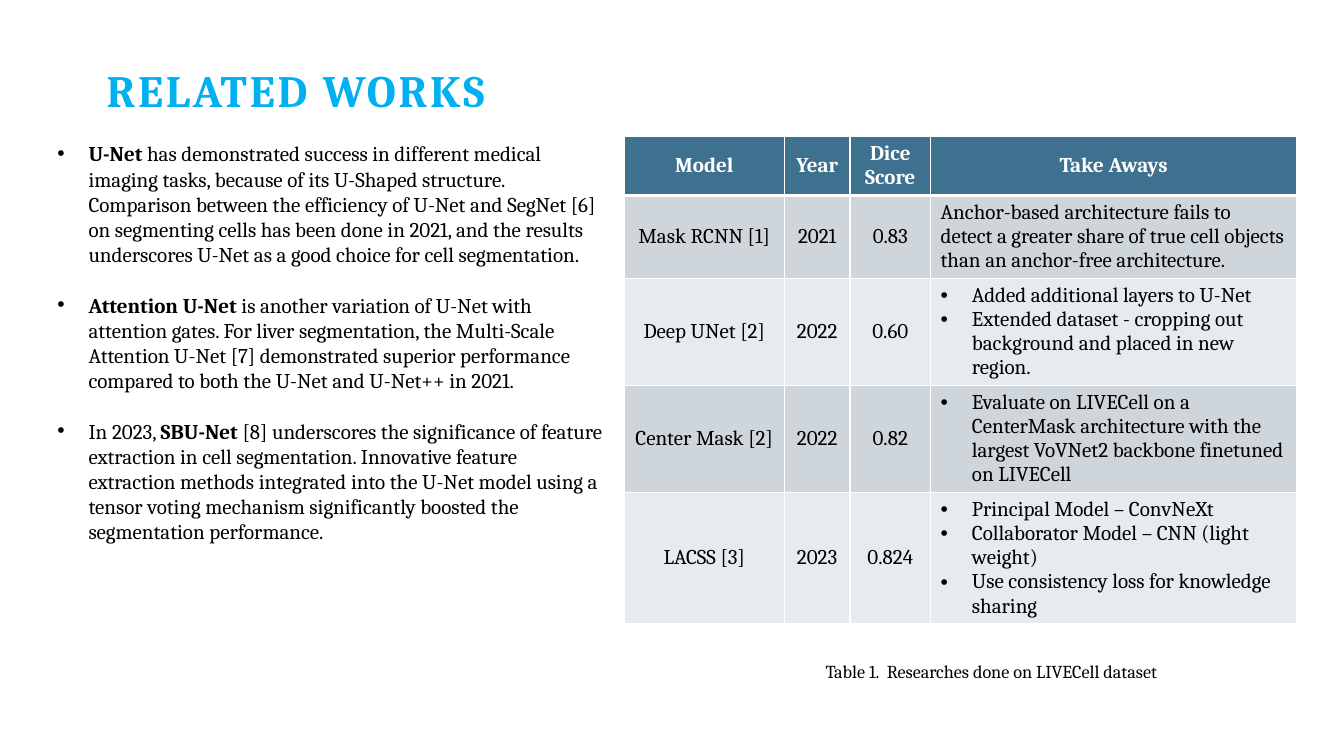
"""Build the related works slide: three bulleted summaries beside a table of models."""
from pptx import Presentation
from pptx.dml.color import RGBColor
from pptx.enum import text
from pptx.oxml import parse_xml
from pptx.oxml.ns import nsdecls
from pptx.util import Inches, Pt

TITLE = "RELATED WORKS"
CAPTION = "Table 1.  Researches done on LIVECell dataset"
SUMMARIES = [
    [("U-Net ", True),
     ("has demonstrated success in different medical imaging tasks, because of its U-Shaped "
      "structure. Comparison between the efficiency of U-Net and SegNet [6] on segmenting cells "
      "has been done in 2021, and the results underscores U-Net as a good choice for cell "
      "segmentation.", False)],
    [("Attention U-Net ", True),
     ("is another variation of U-Net with attention gates. For liver segmentation, the "
      "Multi-Scale Attention U-Net [7] demonstrated superior performance compared to both the "
      "U-Net and U-Net++ in 2021.", False)],
    [("In 2023, ", False), ("SBU-Net", True),
     (" [8] underscores the significance of feature extraction in cell segmentation. Innovative "
      "feature extraction methods integrated into the U-Net model using a tensor voting "
      "mechanism significantly boosted the segmentation performance.", False)],
]
HEADER = ["Model", "Year", "Dice Score", "Take Aways"]
MODELS = [
    ("Mask RCNN [1]", "2021", "0.83",
     ["Anchor-based architecture fails to detect a greater share of true cell objects than an "
      "anchor-free architecture."]),
    ("Deep UNet [2]", "2022", "0.60",
     ["Added additional layers to U-Net",
      "Extended dataset - cropping out background and placed in new region."]),
    ("Center Mask [2]", "2022", "0.82",
     ["Evaluate on LIVECell on a CenterMask architecture with the largest VoVNet2 backbone "
      "finetuned on LIVECell"]),
    ("LACSS [3]", "2023", "0.824",
     ["Principal Model – ConvNeXt", "Collaborator Model – CNN (light weight)",
      "Use consistency loss for knowledge sharing"]),
]
COLUMN_WIDTHS = [1.59, 0.65, 0.8, 3.63]
ROW_HEIGHTS = [0.59, 0.82, 1.06, 1.06, 1.3]
HEADER_FILL, BAND_FILLS = "3E7090", ["CED5DB", "E8EBEE"]
WHITE, BLACK, SKY = "FFFFFF", "000000", "00B0F0"
CENTER = text.PP_ALIGN.CENTER


def color(value):
    return RGBColor.from_string(value)


def style(paragraph, size, ink=BLACK, bold=None, align=None):
    font = paragraph.font
    font.name, font.size, font.bold = "Cambria", Pt(size), bold
    font.color.rgb = color(ink)
    paragraph.alignment = align


def add_bullet(paragraph):
    properties = paragraph._p.get_or_add_pPr()
    properties.set("marL", str(Inches(0.31)))
    properties.set("indent", str(-Inches(0.31)))
    for xml in ('<a:buFont %s typeface="Arial"/>', '<a:buChar %s char="•"/>'):
        bullet = parse_xml(xml % nsdecls("a"))
        properties.insert_element_before(bullet, "a:tabLst", "a:defRPr", "a:extLst")


def add_borders(cell, bottom):
    properties = cell._tc.get_or_add_tcPr()
    for place, (side, width) in enumerate([("L", 1), ("R", 1), ("T", 1), ("B", bottom)]):
        properties.insert(place, parse_xml(
            f'<a:ln{side} {nsdecls("a")} w="{Pt(width)}"><a:solidFill>'
            f'<a:srgbClr val="{WHITE}"/></a:solidFill></a:ln{side}>'))


def fill_cell(cell, lines, fill, ink=BLACK, bold=False, align=None, bulleted=False, bottom=1):
    cell.fill.solid()
    cell.fill.fore_color.rgb = color(fill)
    cell.vertical_anchor = text.MSO_ANCHOR.MIDDLE
    add_borders(cell, bottom)
    cell.text = "\n".join(lines)
    for paragraph in cell.text_frame.paragraphs:
        style(paragraph, 15, ink, bold, align)
        if bulleted:
            add_bullet(paragraph)


def add_title(slide):
    title = slide.shapes.title
    title.left, title.top, title.width, title.height = map(Inches, (0.71, 0.63, 4.45, 0.67))
    title.text = TITLE
    title.text_frame.vertical_anchor = text.MSO_ANCHOR.TOP
    heading = title.text_frame.paragraphs[0]
    style(heading, 32, SKY, True, CENTER)
    heading.line_spacing = 0.9
    heading.runs[0]._r.get_or_add_rPr().set("spc", "200")


def add_frame(slide, *box):
    frame = slide.shapes.add_textbox(*map(Inches, box)).text_frame
    frame.word_wrap = True
    return frame


def add_summaries(slide):
    frame = add_frame(slide, 0.47, 1.35, 5.63, 4.14)
    for index, summary in enumerate(SUMMARIES):
        paragraph = frame.add_paragraph() if index else frame.paragraphs[0]
        style(paragraph, 15)
        add_bullet(paragraph)
        paragraph.space_before = Pt(18 if index else 0)
        for words, bold in summary:
            run = paragraph.add_run()
            run.text, run.font.bold = words, bold


def add_models(slide):
    table = slide.shapes.add_table(
        len(ROW_HEIGHTS), len(COLUMN_WIDTHS), Inches(6.19), Inches(1.35),
        Inches(sum(COLUMN_WIDTHS)), Inches(sum(ROW_HEIGHTS))).table
    for column, width in zip(table.columns, COLUMN_WIDTHS):
        column.width = Inches(width)
    for row, height in zip(table.rows, ROW_HEIGHTS):
        row.height = Inches(height)
    for column, label in enumerate(HEADER):
        fill_cell(table.cell(0, column), [label], HEADER_FILL, WHITE, True, CENTER, bottom=3)
    for row, (*facts, takeaways) in enumerate(MODELS, 1):
        fill = BAND_FILLS[(row - 1) % 2]
        for column, fact in enumerate(facts):
            fill_cell(table.cell(row, column), [fact], fill, align=CENTER)
        fill_cell(table.cell(row, len(facts)), takeaways, fill, bulleted=row > 1)


def main():
    deck = Presentation()
    deck.slide_width, deck.slide_height = Inches(13.33), Inches(7.5)
    slide = deck.slides.add_slide(deck.slide_layouts[5])
    add_title(slide)
    add_models(slide)
    caption = add_frame(slide, 7.09, 6.5, 5.48, 0.32).paragraphs[0]
    caption.text = CAPTION
    style(caption, 13, align=CENTER)
    add_summaries(slide)
    deck.save("out.pptx")


if __name__ == "__main__":
    main()
